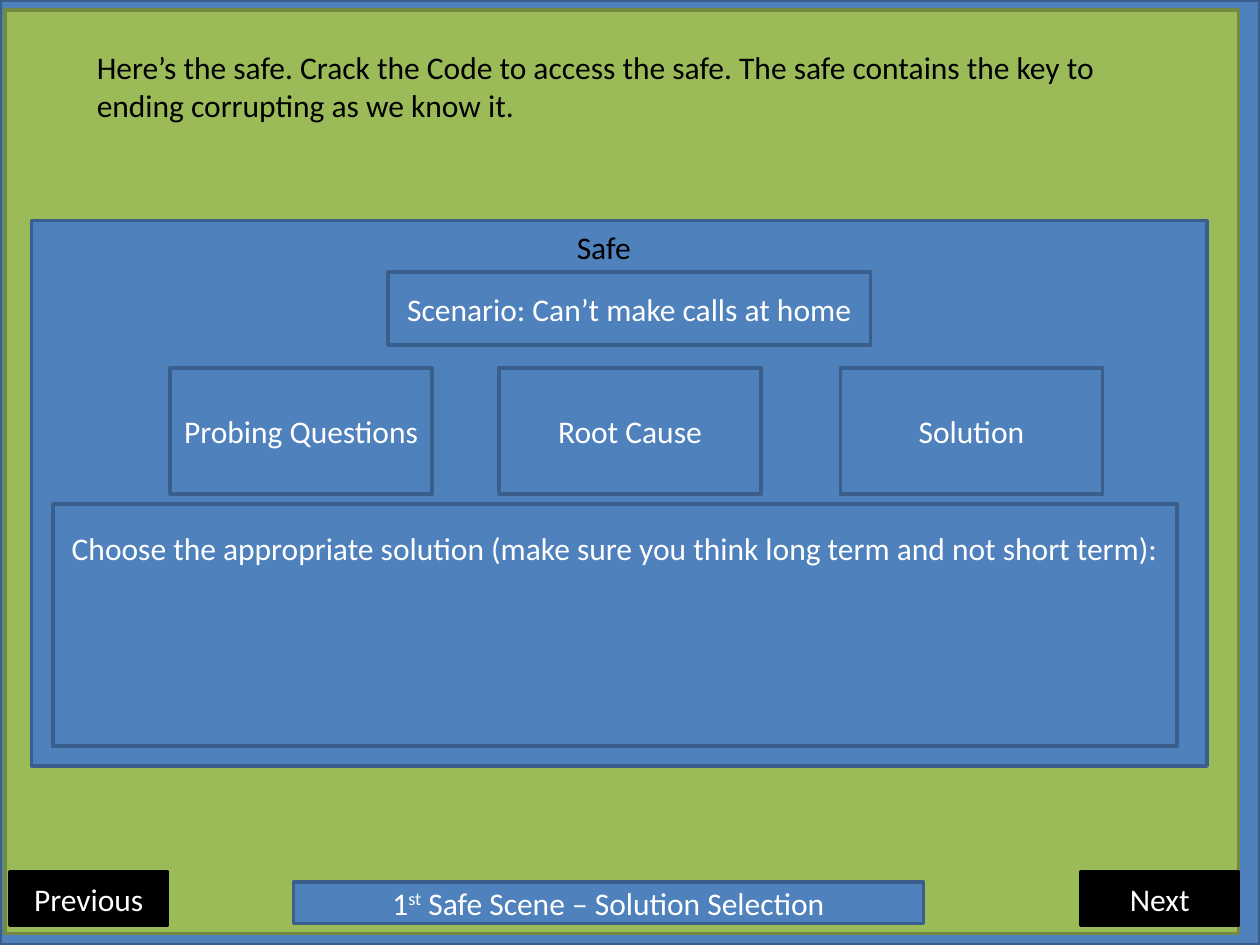
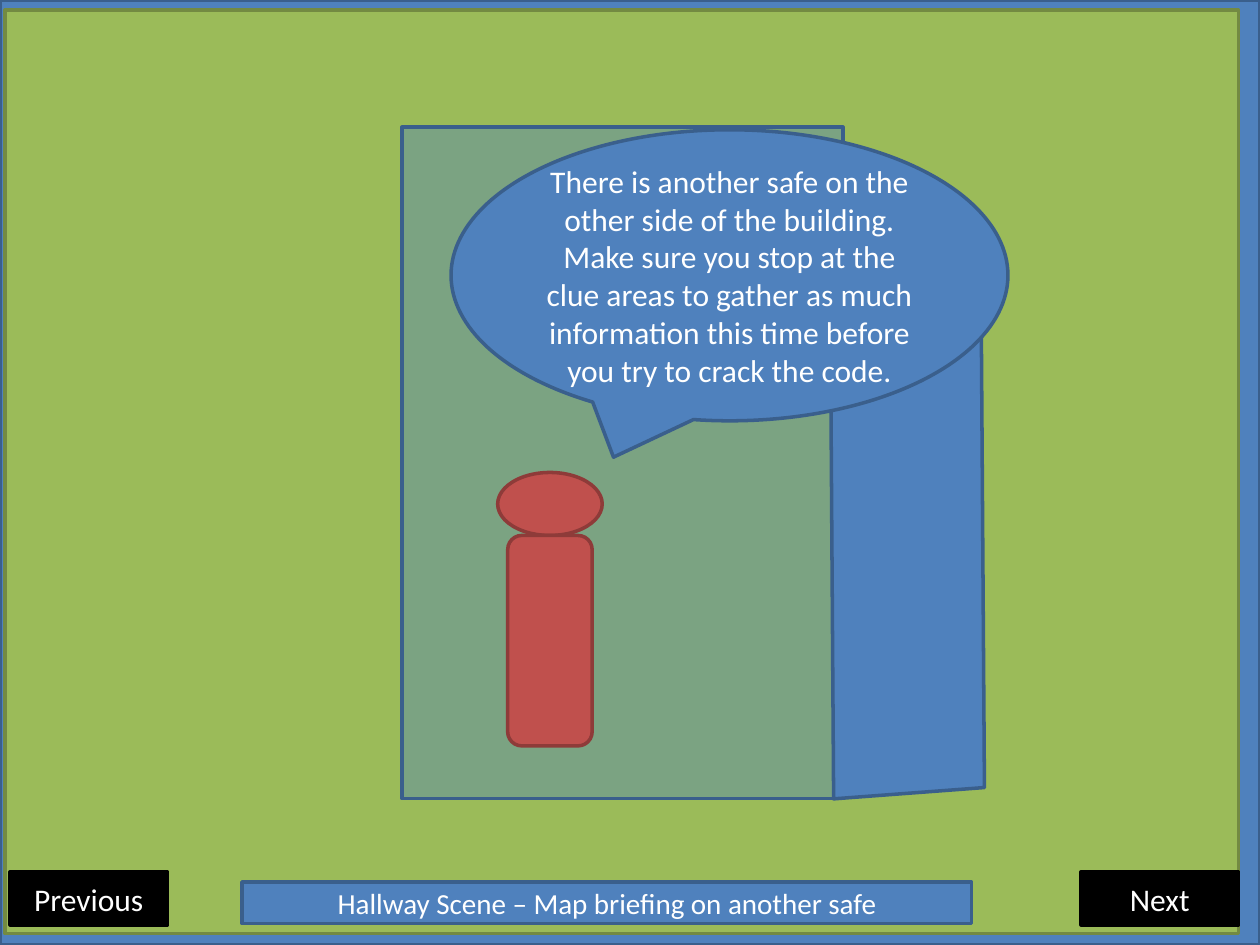
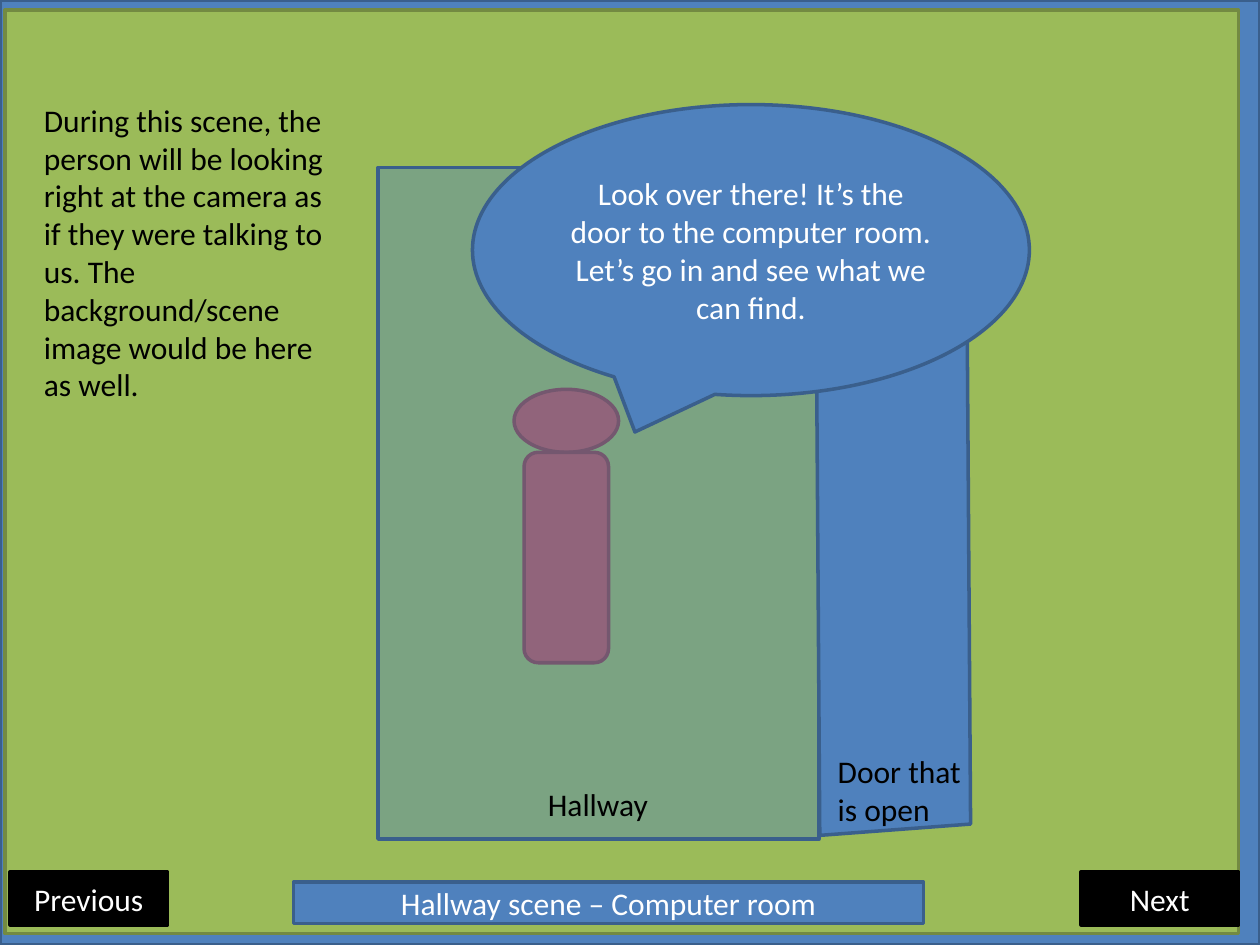
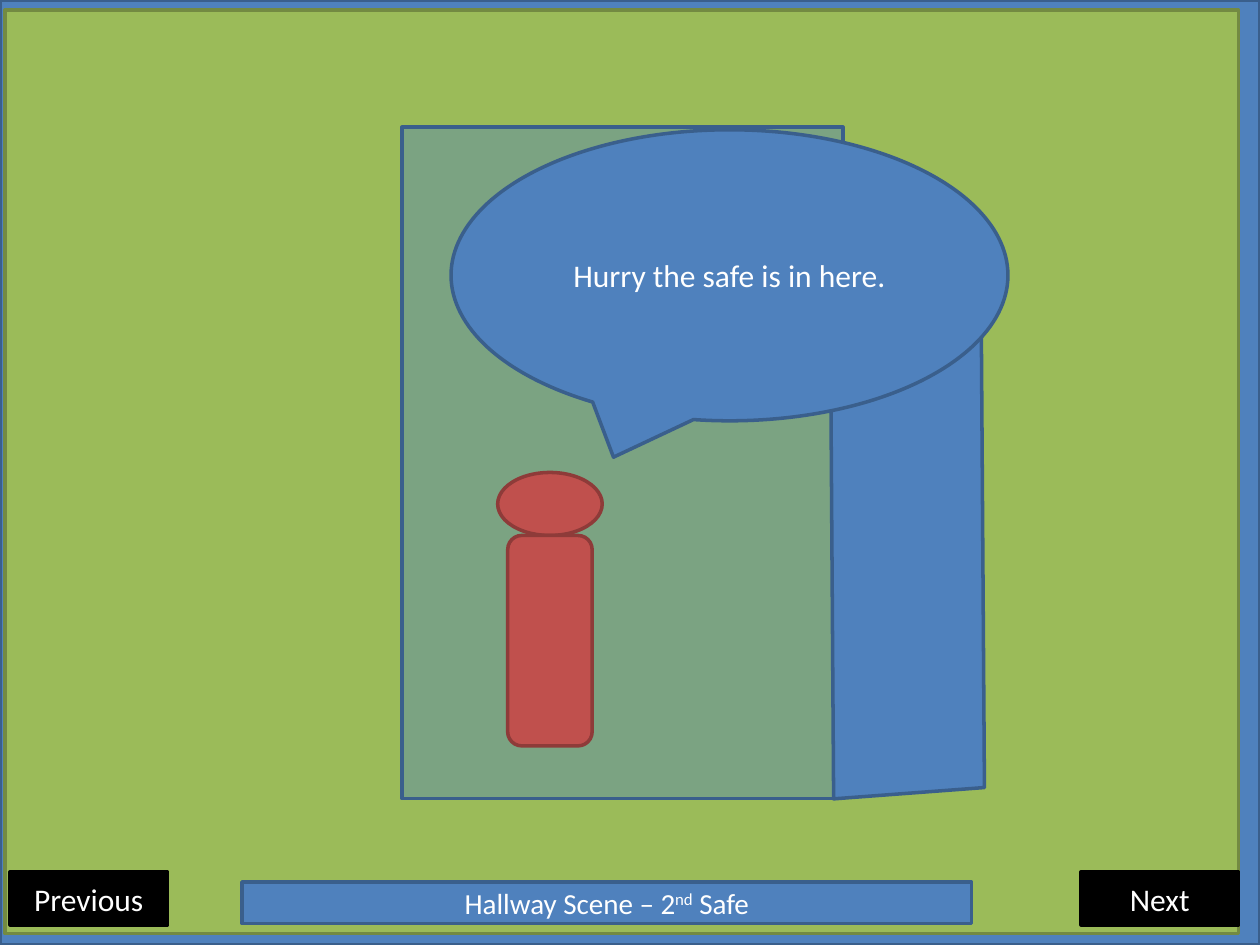
import pptx
import pptx.dml.color
import pptx.enum.shapes
import pptx.enum.text
import pptx.oxml
import pptx.oxml.ns
import pptx.util

Inches = pptx.util.Inches
Kind = pptx.enum.shapes.MSO_SHAPE
Align = pptx.enum.text.PP_ALIGN
Anchor = pptx.enum.text.MSO_ANCHOR
Fit = pptx.enum.text.MSO_AUTO_SIZE

BLUE, NAVY = "4F81BD", "3A5F8C"
GREEN, OLIVE = "9BBB59", "738A42"
RED, MAROON = "C0504D", "8E3B39"
BLACK, WHITE = "000000", "FFFFFF"
FONT = "Calibri"


def paint(target, color):
    target.rgb = pptx.dml.color.RGBColor.from_string(color)


class Deck:
    """Hold the storyboard style and the slide being drawn."""

    def __init__(self):
        self.show = pptx.Presentation()
        self.show.slide_width = Inches(10)
        self.show.slide_height = Inches(7.5)

    def scene(self, label, left=2.33, width=5, size=18):
        self.slide = self.show.slides.add_slide(self.show.slide_layouts[6])
        self.shape(0, 0, 10, 7.5)
        self.shape(0.04, 0.08, 9.79, 7.33, fill=GREEN, line=OLIVE)
        for x, name in ((0.08, "Previous"), (8.58, "Next")):
            self.shape(x, 6.92, 1.25, 0.42, name, fill=BLACK, line=BLACK)
        self.shape(left, 7, width, 0.33, label, size=size)

    def letter(self, frame, text, color, size=18, align=Align.LEFT):
        frame.word_wrap = True
        para = frame.paragraphs[0]
        para.alignment = align
        for i, part in enumerate(text.split("^")):
            run = para.add_run()
            run.text = part
            run.font.name = FONT
            run.font.size = pptx.util.Pt(size)
            paint(run.font.color, color)
            if i % 2:
                run._r.get_or_add_rPr().set("baseline", "30000")

    def shape(self, x, y, w, h, text="", kind=Kind.RECTANGLE, fill=BLUE,
              line=NAVY, size=18, alpha=None):
        item = self.slide.shapes.add_shape(
            kind, Inches(x), Inches(y), Inches(w), Inches(h))
        item.shadow.inherit = False
        item.fill.solid()
        paint(item.fill.fore_color, fill)
        paint(item.line.color, line)
        item.line.width = pptx.util.Pt(2)
        if alpha:
            tone = item.fill._xPr.find(".//" + pptx.oxml.ns.qn("a:srgbClr"))
            node = pptx.oxml.parse_xml(
                f'<a:alpha {pptx.oxml.ns.nsdecls("a")} val="{alpha * 1000}"/>')
            tone.append(node)
        if text:
            item.text_frame.vertical_anchor = Anchor.MIDDLE
            self.letter(item.text_frame, text, WHITE, size, Align.CENTER)
        return item

    def note(self, x, y, w, h, text):
        box = self.slide.shapes.add_textbox(
            Inches(x), Inches(y), Inches(w), Inches(h))
        self.letter(box.text_frame, text, BLACK)
        box.text_frame.auto_size = Fit.SHAPE_TO_FIT_TEXT

    def hall(self, x, y):
        self.shape(x, y, 3.5, 5.33, alpha=41)

    def door(self, x, y):
        leaf = self.shape(x, y, 1.5, 4.39, kind=Kind.FLOWCHART_DATA)
        leaf.rotation = 355.7

    def speech(self, x, y, text):
        self.shape(x, y, 4.42, 2.31, text, kind=Kind.OVAL_CALLOUT)

    def guide(self, x, y):
        self.shape(x, y, 0.83, 0.5, kind=Kind.OVAL, fill=RED, line=MAROON)
        self.shape(x + 0.08, y + 0.5, 0.67, 1.67,
                   kind=Kind.ROUNDED_RECTANGLE, fill=RED, line=MAROON)

    def brief(self, label, text):
        self.scene(label, left=1.92, width=5.79, size=16.6)
        self.hall(3.19, 1.01)
        self.door(6.45, 1.9)
        self.speech(3.58, 1.03, text)
        self.guide(3.95, 3.75)


def safe(deck):
    deck.scene("1^st^ Safe Scene – Solution Selection")
    deck.shape(0.25, 1.75, 9.33, 4.33)
    deck.note(4.48, 1.76, 0.67, 0.4, "Safe")
    deck.note(0.67, 0.33, 8.54, 0.71,
              "Here’s the safe. Crack the Code to access the safe. "
              "The safe contains the key to ending corrupting as we know it.")
    for x, name in ((1.35, "Probing Questions"), (3.96, "Root Cause"),
                    (6.67, "Solution")):
        deck.shape(x, 2.92, 2.08, 1, name)
    deck.shape(3.08, 2.16, 3.83, 0.58, "Scenario: Can’t make calls at home")
    task = deck.shape(0.42, 4, 8.92, 1.92,
                      "Choose the appropriate solution (make sure you think "
                      "long term and not short term):")
    task.text_frame.vertical_anchor = Anchor.TOP
    task.text_frame.margin_top = Inches(0.2)


def room(deck):
    deck.scene("Hallway scene – Computer room")
    deck.guide(4.08, 3.09)
    deck.note(0.25, 0.75, 2.58, 2.52,
              "During this scene, the person will be looking right at the "
              "camera as if they were talking to us. The background/scene "
              "image would be here as well.")
    deck.hall(3, 1.33)
    deck.note(4.25, 6.18, 1.17, 0.4, "Hallway")
    deck.door(6.34, 2.19)
    deck.note(6.55, 5.92, 1.25, 0.71, "Door that is open")
    deck.speech(3.75, 0.83,
                "Look over there! It’s the door to the computer room. "
                "Let’s go in and see what we can find.")


def main():
    deck = Deck()
    safe(deck)
    deck.brief("Hallway Scene – Map briefing on another safe",
               "There is another safe on the other side of the building. "
               "Make sure you stop at the clue areas to gather as much "
               "information this time before you try to crack the code.")
    room(deck)
    deck.brief("Hallway Scene – 2^nd^ Safe", "Hurry the safe is in here.")
    deck.show.save("out.pptx")


if __name__ == "__main__":
    main()
